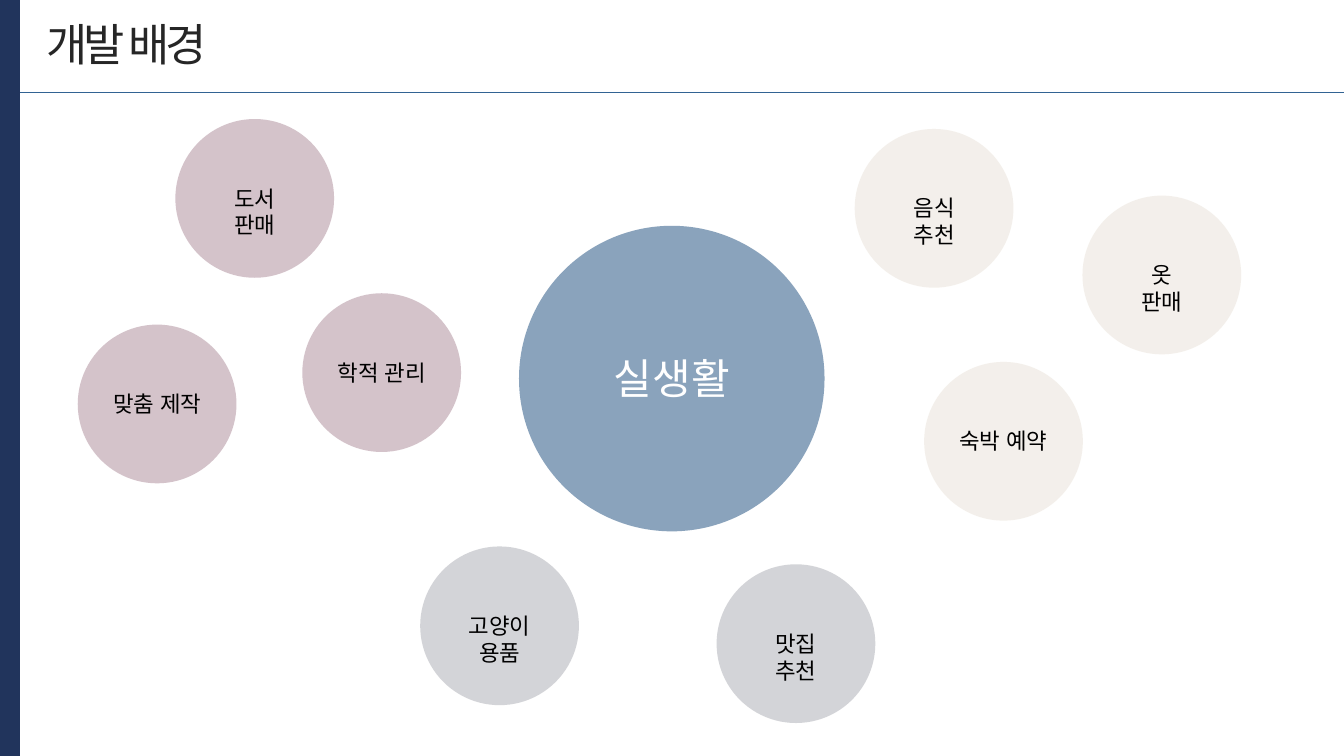
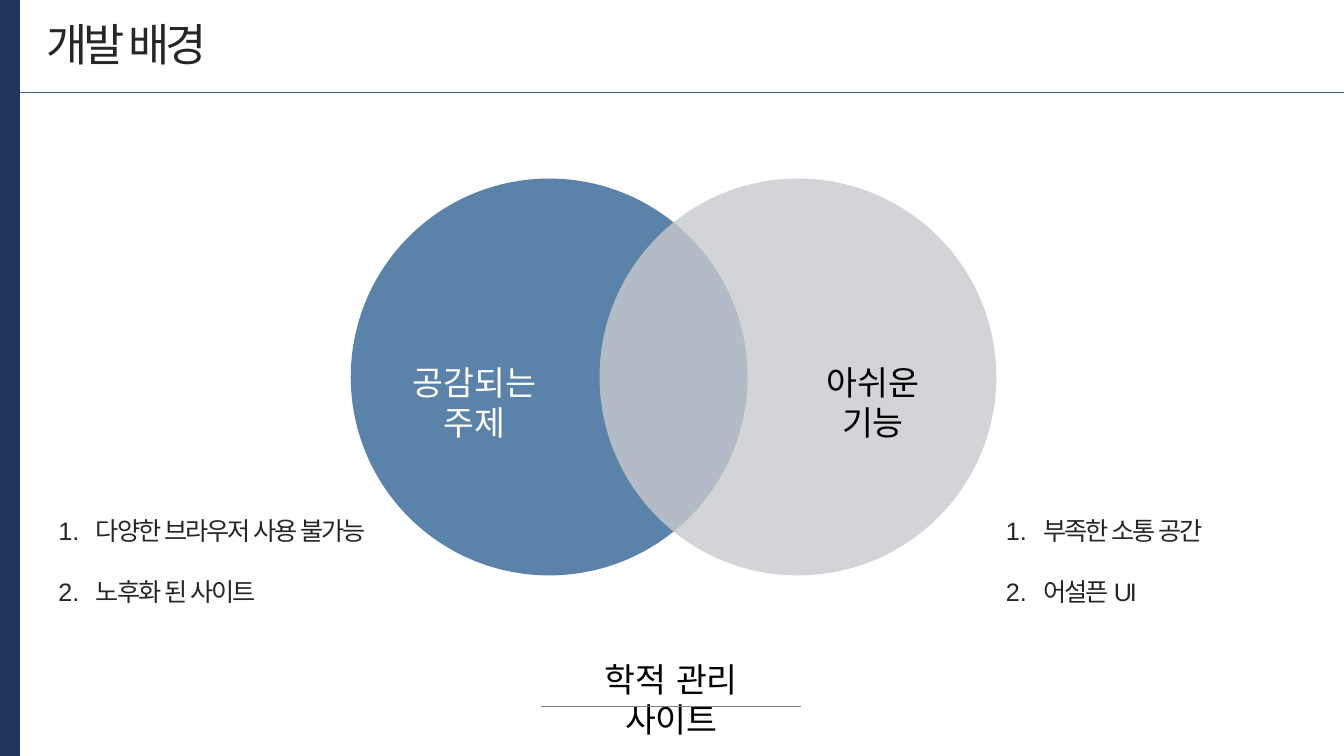
import copy

import lxml.etree
import pptx
import pptx.dml.color
import pptx.enum.shapes
import pptx.enum.text
import pptx.oxml.ns
import pptx.util

Cm = pptx.util.Cm
Pt = pptx.util.Pt
qn = pptx.oxml.ns.qn
ALIGN = pptx.enum.text.PP_ALIGN
SHAPE = pptx.enum.shapes.MSO_SHAPE

FONT = "Arial"
COLORS = {
    "navy": "21345C",
    "blue": "326393",
    "steel": "6D8CAC",
    "rose": "CAB5BD",
    "cream": "F1ECE6",
    "silver": "C9CACF",
    "gray": "808080",
    "ink": "262626",
    "black": "000000",
    "white": "FFFFFF",
}
WIDTH, HEIGHT = 33.87, 19.05
BAND, RULE = 0.5, 2.33
BODY = (BAND, RULE, WIDTH - BAND, HEIGHT - RULE)
TITLE = "개발 배경"

HUB = ("실생활", 12.58, 3.36, 7.7, "steel", 30, "white")
TOPICS = [
    ("도서\v판매", 3.92, 0.67, "rose"),
    ("음식\v추천", 21.04, 0.92, "cream"),
    ("숙박 예약", 22.79, 6.79, "cream"),
    ("옷\v판매", 26.78, 2.6, "cream"),
    ("맞춤 제작", 1.46, 5.85, "rose"),
    ("학적 관리", 7.12, 5.06, "rose"),
    ("고양이\v용품", 10.09, 11.44, "silver"),
    ("맛집\v추천", 17.56, 11.89, "silver"),
]
FLAWS = [
    (0.72, 8.97, ["다양한 브라우저 사용 불가능", "노후화 된 사이트"]),
    (24.6, 8, ["부족한 소통 공간", "어설픈 UI"]),
]


def rgb(name):
    return pptx.dml.color.RGBColor.from_string(COLORS[name])


def style(frame, size, color, align, space=0):
    for para in frame.paragraphs:
        para.alignment = align
        for run in para.runs:
            run.font.size = Pt(size)
            run.font.name = FONT
            run.font.color.rgb = rgb(color)
            props = run.font._element
            lxml.etree.SubElement(props, qn("a:ea")).set("typeface", FONT)
            if space:
                props.set("spc", str(int(space * 100)))
            for gap in para._p.findall(qn("a:br")):
                if gap.find(qn("a:rPr")) is None:
                    gap.append(copy.deepcopy(props))


def fill(shape, color, alpha=100):
    shape.shadow.inherit = False
    shape.fill.solid()
    shape.fill.fore_color.rgb = rgb(color)
    shape.line.fill.background()
    if alpha < 100:
        tone = shape._element.spPr.find(".//" + qn("a:srgbClr"))
        lxml.etree.SubElement(tone, qn("a:alpha")).set("val", str(alpha * 1000))


def disc(shapes, left, top, size, color):
    shape = shapes.add_shape(SHAPE.OVAL, Cm(left), Cm(top), Cm(size), Cm(size))
    fill(shape, color, 80)


def rule(shapes, left, right, top, color):
    line = shapes.add_connector(
        pptx.enum.shapes.MSO_CONNECTOR.STRAIGHT, Cm(left), Cm(top), Cm(right), Cm(top))
    line.line.color.rgb = rgb(color)
    line.line.width = Pt(0.5)
    lxml.etree.SubElement(line._element.spPr, qn("a:effectLst"))


def label(shapes, text, mid, top, width, height, size, color):
    box = shapes.add_textbox(Cm(mid - width / 2), Cm(top), Cm(width), Cm(height))
    frame = box.text_frame
    frame.word_wrap = True
    frame.text = text
    style(frame, size, color, ALIGN.CENTER)


def bubble(slide, text, left, top, size, color, points, ink):
    shapes = slide.shapes.add_group_shape().shapes
    disc(shapes, left, top, size, color)
    height = 0.94 if points == 16 else 1.55
    label(shapes, text, left + size / 2, top + (size - height) / 2,
          size - 0.4, height, points, ink)


def bubbles(slide, box):
    x, y = box[:2]
    text, left, top, size, color, points, ink = HUB
    bubble(slide, text, x + left, y + top, size, color, points, ink)
    for text, left, top, color in TOPICS:
        bubble(slide, text, x + left, y + top, 4, color, 16, "black")


def venn(slide, box):
    x, y = box[:2]
    shapes = slide.shapes.add_group_shape().shapes
    for left, color in ((8.34, "blue"), (14.61, "silver")):
        disc(shapes, x + left, y + 2.17, 10, color)
    for text, mid, ink in (("공감되는\v주제", 11.46, "white"),
                           ("아쉬운\v기능", 21.5, "black")):
        label(slide.shapes, text, x + mid, y + 6.66, 5.2, 1.27, 24, ink)


def flaws(slide, box):
    for left, width, items in FLAWS:
        area = slide.shapes.add_textbox(
            Cm(box[0] + left), Cm(box[1] + 10.52), Cm(width), Cm(3.33))
        frame = area.text_frame
        frame.word_wrap = True
        frame.text = "\n".join(items)
        for index, para in enumerate(frame.paragraphs):
            props = para._p.get_or_add_pPr()
            props.set("marL", str(Cm(0.95)))
            props.set("indent", str(-Cm(0.95)))
            mark = lxml.etree.SubElement(props, qn("a:buAutoNum"))
            mark.set("type", "arabicPeriod")
            if index:
                para.space_before = Pt(22)
        style(frame, 18, "ink", ALIGN.JUSTIFY, -1.5)


def result(slide, box):
    x, y = box[:2]
    shapes = slide.shapes.add_group_shape().shapes
    label(shapes, "학적 관리\v사이트", x + 16.42, y + 14.15, 6.35, 1.27, 24, "black")
    rule(shapes, x + 13.14, x + 19.69, y + 15.46, "gray")


def page(deck):
    slide = deck.slides.add_slide(deck.slide_layouts[5])
    rule(slide.shapes, BAND, WIDTH, RULE, "blue")
    band = slide.shapes.add_shape(SHAPE.RECTANGLE, 0, 0, Cm(BAND), Cm(HEIGHT))
    fill(band, "navy")
    title = slide.shapes.title
    title.left, title.top = Cm(0.91), Cm(0.3)
    title.width, title.height = Cm(4.6), Cm(1.63)
    frame = title.text_frame
    frame.text = TITLE
    frame.word_wrap = False
    frame.auto_size = pptx.enum.text.MSO_AUTO_SIZE.NONE
    frame.vertical_anchor = pptx.enum.text.MSO_ANCHOR.TOP
    style(frame, 32, "ink", ALIGN.LEFT, -3)
    return slide


def main():
    deck = pptx.Presentation()
    deck.slide_width, deck.slide_height = Cm(WIDTH), Cm(HEIGHT)
    bubbles(page(deck), BODY)
    needs = page(deck)
    for part in (venn, flaws, result):
        part(needs, BODY)
    deck.save("out.pptx")


if __name__ == "__main__":
    main()
